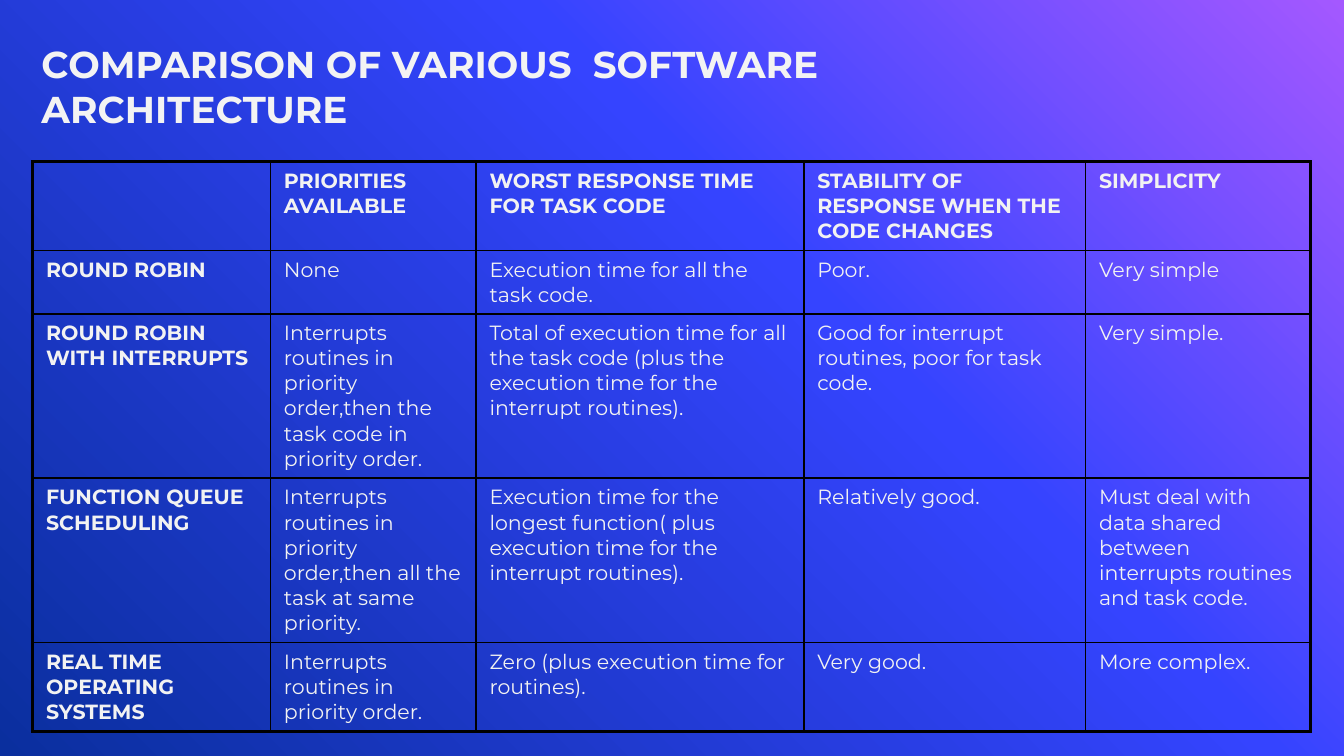
"""Build a slide with a table that compares software architectures."""
from copy import deepcopy
from typing import NamedTuple

from lxml.etree import SubElement
from pptx import Presentation
from pptx.dml.color import RGBColor
from pptx.enum.text import MSO_ANCHOR, MSO_AUTO_SIZE, PP_ALIGN
from pptx.oxml.ns import qn
from pptx.util import Pt

FONT = "Montserrat"
BLACK = RGBColor(0x00, 0x00, 0x00)
PALE = RGBColor(0xF2, 0xF2, 0xF2)
WHITE = RGBColor(0xF3, 0xF3, 0xF3)
VIOLET = RGBColor(0xA4, 0x58, 0xFF)
BLUE = RGBColor(0x35, 0x44, 0xFF)
NAVY = RGBColor(0x0A, 0x2F, 0x9E)
STOPS = [(0, VIOLET), (0.39, BLUE), (1, NAVY)]
WIDTHS = [127.4, 110.2, 175.6, 151, 120.6]


class Row(NamedTuple):
    height: float
    name: str
    order: str
    worst: str
    steady: str
    simple: str


ROWS = [
    Row(47, "", "PRIORITIES AVAILABLE", "WORST RESPONSE TIME FOR TASK CODE",
        "STABILITY OF RESPONSE WHEN THE CODE CHANGES", "SIMPLICITY"),
    Row(34, "ROUND ROBIN", "None", "Execution time for all the task code.",
        "Poor.", "Very simple"),
    Row(88, "ROUND ROBIN WITH INTERRUPTS",
        "Interrupts routines in priority order,then the task code in priority order.",
        "Total of execution time for all the task code (plus the execution time "
        "for the interrupt routines).",
        "Good for interrupt routines, poor for task code.", "Very simple."),
    Row(88, "FUNCTION QUEUE SCHEDULING",
        "Interrupts routines in priority order,then all the task at same priority.",
        "Execution time for the longest function( plus execution time for the "
        "interrupt routines).",
        "Relatively good.",
        "Must deal with data shared between interrupts routines and task code."),
    Row(47, "REAL TIME OPERATING SYSTEMS", "Interrupts routines in priority order.",
        "Zero (plus execution time for routines).", "Very good.", "More complex."),
]


def write(frame, text: str, *, size: float, color: RGBColor, bold: bool = False) -> None:
    para = frame.paragraphs[0]
    para.alignment = PP_ALIGN.LEFT
    run = para.add_run()
    run.text = text
    font = run.font
    font.name, font.size, font.bold = FONT, Pt(size), bold
    font.color.rgb = color


def paint(slide) -> None:
    fill = slide.background.fill
    fill.gradient()
    fill.gradient_angle = 225
    stops = slide.element.find(".//" + qn("a:gsLst"))
    stops.insert(1, deepcopy(stops[0]))
    for stop, (place, color) in zip(fill.gradient_stops, STOPS):
        stop.position = place
        stop.color.rgb = color


def border(cell, sides: dict[str, bool]) -> None:
    props = cell._tc.get_or_add_tcPr()
    for index, (side, outer) in enumerate(sides.items()):
        line = SubElement(props, qn(f"a:ln{side}"), w=str(Pt(2 if outer else 1)))
        solid = SubElement(line, qn("a:solidFill"))
        SubElement(solid, qn("a:srgbClr"), val=str(BLACK))
        props.insert(index, line)


def add_title(slide) -> None:
    title = slide.shapes.title
    title.left, title.top, title.width, title.height = Pt(-23), Pt(18.7), Pt(637), Pt(29.5)
    frame = title.text_frame
    frame.word_wrap = True
    frame.auto_size = MSO_AUTO_SIZE.NONE
    frame.vertical_anchor = MSO_ANCHOR.TOP
    frame.margin_right = Pt(14)
    write(frame, "COMPARISON OF VARIOUS  SOFTWARE ARCHITECTURE",
          size=20, color=WHITE, bold=True)
    props = frame.paragraphs[0]._p.get_or_add_pPr()
    props.set("marL", str(Pt(38)))
    props.set("indent", "0")


def add_grid(slide, rows: list[Row]) -> None:
    high = sum(row.height for row in rows)
    grid = slide.shapes.add_table(len(rows), len(WIDTHS), Pt(17.5), Pt(86.6),
                                  Pt(sum(WIDTHS)), Pt(high)).table
    grid.first_row = grid.horz_banding = False
    for column, width in zip(grid.columns, WIDTHS):
        column.width = Pt(width)
    for r, row in enumerate(rows):
        grid.rows[r].height = Pt(row.height)
        for c, text in enumerate(row[1:]):
            cell = grid.cell(r, c)
            cell.fill.background()
            border(cell, {"L": c == 0, "R": c == len(WIDTHS) - 1,
                          "T": r == 0, "B": r == len(rows) - 1})
            if text:
                write(cell.text_frame, text, size=11, color=PALE, bold=r == 0 or c == 0)


def main() -> None:
    deck = Presentation()
    deck.slide_width, deck.slide_height = Pt(720), Pt(405)
    slide = deck.slides.add_slide(deck.slide_layouts[5])
    paint(slide)
    add_title(slide)
    add_grid(slide, ROWS)
    deck.save("out.pptx")


if __name__ == "__main__":
    main()
